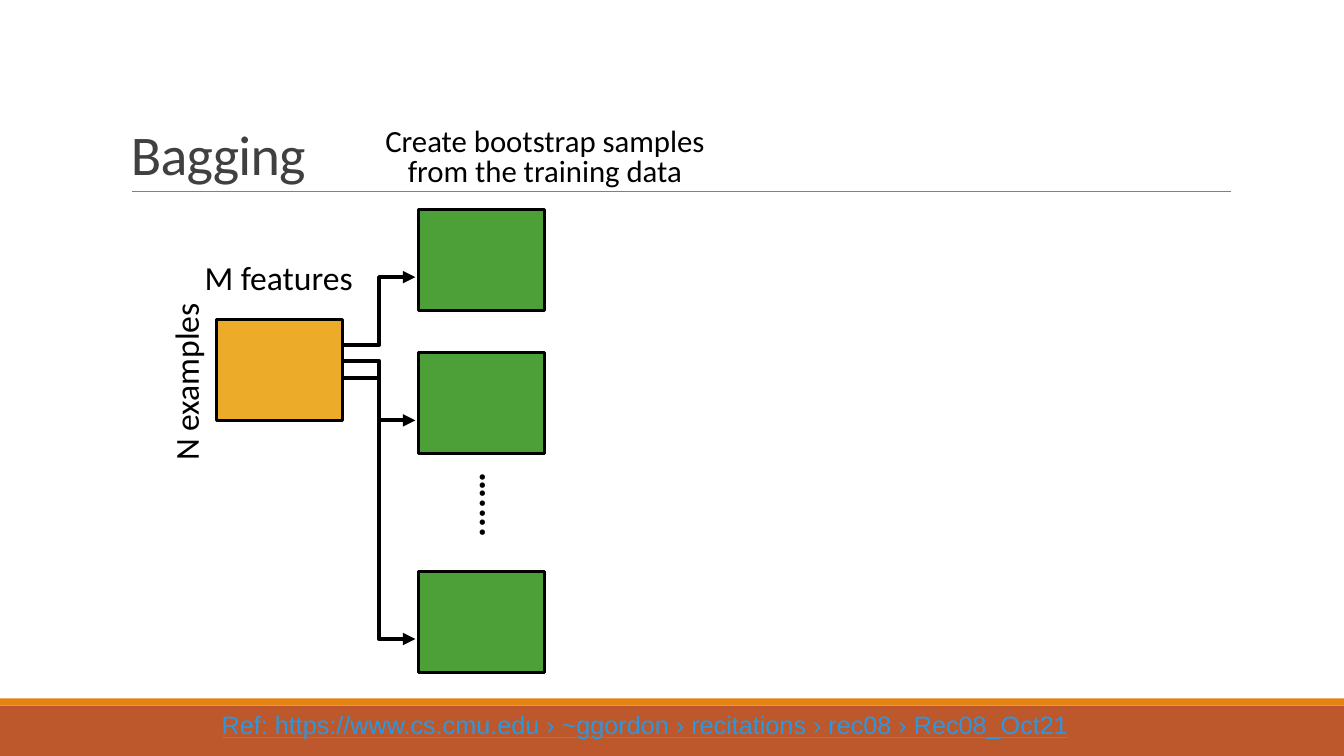
"""Build the Bagging slide: bootstrap samples drawn from the training data."""
import lxml.etree
import pptx
import pptx.dml.color
import pptx.enum.shapes
import pptx.enum.text
import pptx.oxml.ns
import pptx.util

PX = 9144
THEME = {
    "font": "Calibri", "reference_font": "Arial",
    "ink": "000000", "title": "404040", "rule": "808080", "link": "2998E3",
    "sample": "4D9F37", "training": "ECAB28", "footer": "BD582C", "stripe": "E48312",
    "title_size": 40, "label_size": 24, "caption_size": 22, "dots_size": 26, "reference_size": 18,
}
SHAPES = pptx.enum.shapes.MSO_SHAPE
CONNECTORS = pptx.enum.shapes.MSO_CONNECTOR
ALIGN = pptx.enum.text.PP_ALIGN
qn = pptx.oxml.ns.qn


def color(name):
    return pptx.dml.color.RGBColor.from_string(THEME[name])


def add_text(box, lines, size, ink="ink", font="font", wrap=True, align=ALIGN.LEFT, spacing=None):
    text_box = slide.shapes.add_textbox(*(value * PX for value in box))
    frame = text_box.text_frame
    frame.word_wrap = wrap
    frame.auto_size = pptx.enum.text.MSO_AUTO_SIZE.SHAPE_TO_FIT_TEXT
    frame.text = "\n".join(lines)
    for paragraph in frame.paragraphs:
        paragraph.alignment = align
        paragraph.line_spacing = spacing
        paragraph.font.name = THEME[font]
        paragraph.font.size = pptx.util.Pt(THEME[size])
        paragraph.font.color.rgb = color(ink)
    return text_box


presentation = pptx.Presentation()
presentation.slide_width = 1333 * PX
presentation.slide_height = 750 * PX
slide = presentation.slides.add_slide(presentation.slide_layouts[6])

BOX_WIDTH, BOX_HEIGHT = 125, 100
TRAINING_LEFT, TRAINING_TOP = 215, 317
SAMPLE_LEFT = 415
sample_tops = [208, 350, 567]
exit_heights = [342, 375, 358]

blocks = [
    (0, 700, 1333, 50, "footer", False),
    (0, 693, 1333, 7, "stripe", False),
    (TRAINING_LEFT, TRAINING_TOP, BOX_WIDTH, BOX_HEIGHT, "training", True),
]
blocks += [(SAMPLE_LEFT, top, BOX_WIDTH, BOX_HEIGHT, "sample", True) for top in sample_tops]
for left, top, width, height, fill, outlined in blocks:
    block = slide.shapes.add_shape(SHAPES.RECTANGLE, left * PX, top * PX, width * PX, height * PX)
    block.shadow.inherit = False
    block.fill.solid()
    block.fill.fore_color.rgb = color(fill)
    if outlined:
        block.line.color.rgb = color("ink")
        block.line.width = pptx.util.Pt(2.25)
    else:
        block.line.fill.background()

lines = [(CONNECTORS.STRAIGHT, 131, 190, 1221, 190, "rule", 0.5)]
lines += [
    (CONNECTORS.ELBOW, TRAINING_LEFT + BOX_WIDTH, start, SAMPLE_LEFT - 3, top + 67, "ink", 3)
    for start, top in zip(exit_heights, sample_tops)
]
for kind, start_x, start_y, end_x, end_y, ink, weight in lines:
    connector = slide.shapes.add_connector(kind, start_x * PX, start_y * PX, end_x * PX, end_y * PX)
    connector.line.color.rgb = color(ink)
    connector.line.width = pptx.util.Pt(weight)
    if kind == CONNECTORS.ELBOW:
        lxml.etree.SubElement(connector.line._get_or_add_ln(), qn("a:tailEnd"), type="triangle")
    lxml.etree.SubElement(connector._element.spPr, qn("a:effectLst"))

title = add_text((120, 31, 1100, 159), ["Bagging"], "title_size", ink="title", spacing=0.85)
title.text_frame.auto_size = pptx.enum.text.MSO_AUTO_SIZE.NONE
title.text_frame.vertical_anchor = pptx.enum.text.MSO_ANCHOR.BOTTOM
title.text_frame.paragraphs[0].runs[0].font._element.set("spc", "-50")

add_text((232, 123, 617, 69), ["Create bootstrap samples", "from the training data"],
         "caption_size", align=ALIGN.CENTER, spacing=0.8)
add_text((193, 250, 169, 50), ["M features"], "label_size", wrap=False)
examples = add_text((95, 353, 178, 50), ["N examples"], "label_size", wrap=False)
examples.rotation = 270
dots = add_text((424, 474, 85, 53), ["....…"], "dots_size", wrap=False)
dots.rotation = 270
dots.text_frame.paragraphs[0].font.bold = True

reference = add_text(
    (210, 699, 914, 40),
    ["Ref: https://www.cs.cmu.edu › ~ggordon › recitations › rec08 › Rec08_Oct21"],
    "reference_size", ink="link", font="reference_font")
reference.text_frame.paragraphs[0].font.underline = True

presentation.save("out.pptx")
